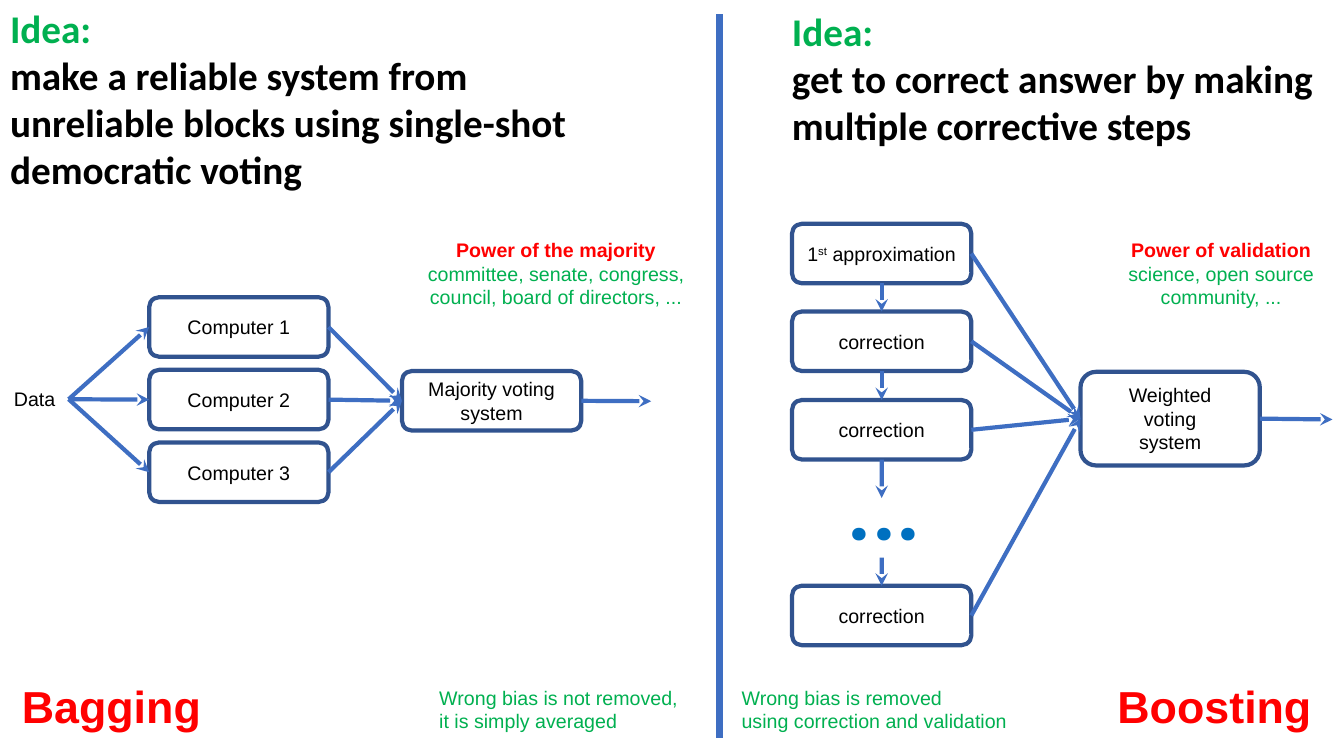
"""Build a slide that compares bagging with boosting."""
from dataclasses import dataclass

from lxml.etree import SubElement
from pptx import Presentation
from pptx.dml.color import RGBColor
from pptx.enum.shapes import MSO_CONNECTOR as Connector, MSO_SHAPE as Shape
from pptx.enum.text import MSO_ANCHOR as Anchor, MSO_AUTO_SIZE as AutoSize, PP_ALIGN as Align
from pptx.oxml.ns import qn
from pptx.util import Cm, Pt

TOP, LEFT, BOTTOM, RIGHT = range(4)


@dataclass(frozen=True)
class Type:
    size: int
    color: str
    bold: bool = False
    font: str = "Arial"
    baseline: int = 0


@dataclass(frozen=True)
class Theme:
    border: str = "31538F"
    arrow: str = "3E6EC2"
    line_width: float = 3
    divider_width: float = 5
    label: Type = Type(14, "000000")
    superscript: Type = Type(14, "000000", baseline=30000)
    note: Type = Type(14, "00B050")
    power: Type = Type(14, "FF0000", True)
    method: Type = Type(32, "FF0000", True)
    idea: Type = Type(28, "00B050", True, "Calibri")
    claim: Type = Type(28, "000000", True, "Calibri")
    dots: Type = Type(60, "0070C0", True, "Roboto")


class Diagram:
    def __init__(self, slide, theme):
        self.slide = slide
        self.theme = theme

    def set_lines(self, holder, lines, align=Align.LEFT, anchor=Anchor.TOP):
        frame = holder.text_frame
        frame.word_wrap = True
        frame.auto_size = AutoSize.NONE
        frame.vertical_anchor = anchor
        for index, line in enumerate(lines):
            para = frame.paragraphs[0] if index == 0 else frame.add_paragraph()
            para.alignment = align
            for text, style in line:
                span = para.add_run()
                span.text = text
                span.font.size = Pt(style.size)
                span.font.name = style.font
                span.font.bold = style.bold
                span.font.color.rgb = RGBColor.from_string(style.color)
                if style.baseline:
                    span._r.get_or_add_rPr().set("baseline", str(style.baseline))

    def title(self, place, lines):
        holder = self.slide.shapes.title
        holder.left, holder.top, holder.width, holder.height = map(Cm, place)
        self.set_lines(holder, lines)

    def text(self, place, lines, align=Align.LEFT):
        holder = self.slide.shapes.add_textbox(*map(Cm, place))
        self.set_lines(holder, lines, align)
        return holder

    def box(self, left, top, lines, height=1.5):
        box = self.slide.shapes.add_shape(
            Shape.ROUNDED_RECTANGLE, Cm(left), Cm(top), Cm(4.52), Cm(height))
        box.shadow.inherit = False
        box.fill.background()
        box.line.color.rgb = RGBColor.from_string(self.theme.border)
        box.line.width = Pt(self.theme.line_width)
        self.set_lines(box, lines, Align.CENTER, Anchor.MIDDLE)
        return box

    def line(self, start, end, width):
        line = self.slide.shapes.add_connector(Connector.STRAIGHT, *map(Cm, start + end))
        line.line.color.rgb = RGBColor.from_string(self.theme.arrow)
        line.line.width = Pt(width)
        SubElement(line._element.spPr, qn("a:effectLst"))
        return line

    def arrow(self, source=None, target=None, start=(0, 0), end=(0, 0),
              sides=(RIGHT, LEFT)):
        arrow = self.line(start, end, self.theme.line_width)
        if source is not None:
            arrow.begin_connect(source, sides[0])
        if target is not None:
            arrow.end_connect(target, sides[1])
        SubElement(arrow.line._get_or_add_ln(), qn("a:tailEnd"), type="stealth")


def draw_bagging(diagram):
    theme = diagram.theme
    diagram.title((0, -0.03, 15.09, 4.93), [
        [("Idea:", theme.idea)],
        [("make a reliable system from unreliable blocks using single-shot "
          "democratic voting", theme.claim)]])
    diagram.text((10.19, 5.87, 7.65, 2.06), [
        [("Power of the majority", theme.power)],
        [("committee, senate, congress, council, board of directors, ...", theme.note)]],
        Align.CENTER)
    data = diagram.text((0.1, 9.63, 1.63, 0.86), [[("Data", theme.label)]])
    voting = diagram.box(10.13, 9.35, [
        [("Majority voting", theme.label)], [("system", theme.label)]])
    for index in range(3):
        computer = diagram.box(3.76, 7.49 + 1.83 * index,
                               [[(f"Computer {index + 1}", theme.label)]])
        diagram.arrow(data, computer)
        diagram.arrow(computer, voting)
    diagram.arrow(voting, end=(16.41, 10.11))
    diagram.text((0.3, 16.97, 5.72, 1.63), [[("Bagging", theme.method)]])
    diagram.text((10.82, 17.15, 6.99, 1.45), [
        [("Wrong bias is not removed,", theme.note)],
        [("it is simply averaged", theme.note)]])


def draw_boosting(diagram):
    theme = diagram.theme
    diagram.text((19.71, 0.05, 14.15, 4.01), [
        [("Idea:", theme.idea)],
        [("get to correct answer by making multiple corrective steps", theme.claim)]])
    diagram.text((27.79, 5.87, 5.97, 2.06), [
        [("Power of validation", theme.power)],
        [("science, open source community, ...", theme.note)]], Align.CENTER)
    first = [("1", theme.label), ("st", theme.superscript), (" approximation", theme.label)]
    correction = [("correction", theme.label)]
    tops = (5.64, 7.85, 10.08, 14.76)
    steps = [diagram.box(19.96, top, [line])
             for top, line in zip(tops, [first] + [correction] * 3)]
    voting = diagram.box(27.23, 9.37, [
        [(word, theme.label)] for word in ("Weighted", "voting", "system")], 2.36)
    for step in steps:
        diagram.arrow(step, voting)
    down = (BOTTOM, TOP)
    for upper, lower in zip(steps[:2], steps[1:3]):
        diagram.arrow(upper, lower, sides=down)
    diagram.arrow(steps[2], end=(22.22, 12.55), sides=down)
    diagram.text((21.08, 11.38, 2.41, 2.82), [[("...", theme.dots)]], Align.CENTER)
    diagram.arrow(target=steps[3], start=(22.22, 14.05), sides=down)
    diagram.arrow(voting, end=(33.58, 10.57))
    diagram.text((27.91, 16.97, 5.72, 1.63), [[("Boosting", theme.method)]])
    diagram.text((18.44, 17.15, 7.7, 1.45), [
        [("Wrong bias is removed", theme.note)],
        [("using correction and validation", theme.note)]])


def main():
    deck = Presentation()
    deck.slide_width, deck.slide_height = Cm(33.87), Cm(19.05)
    page = deck.slides.add_slide(deck.slide_layouts[5])
    diagram = Diagram(page, Theme())
    draw_bagging(diagram)
    draw_boosting(diagram)
    diagram.line((18.14, 0.36), (18.14, 18.59), diagram.theme.divider_width)
    deck.save("out.pptx")


if __name__ == "__main__":
    main()
